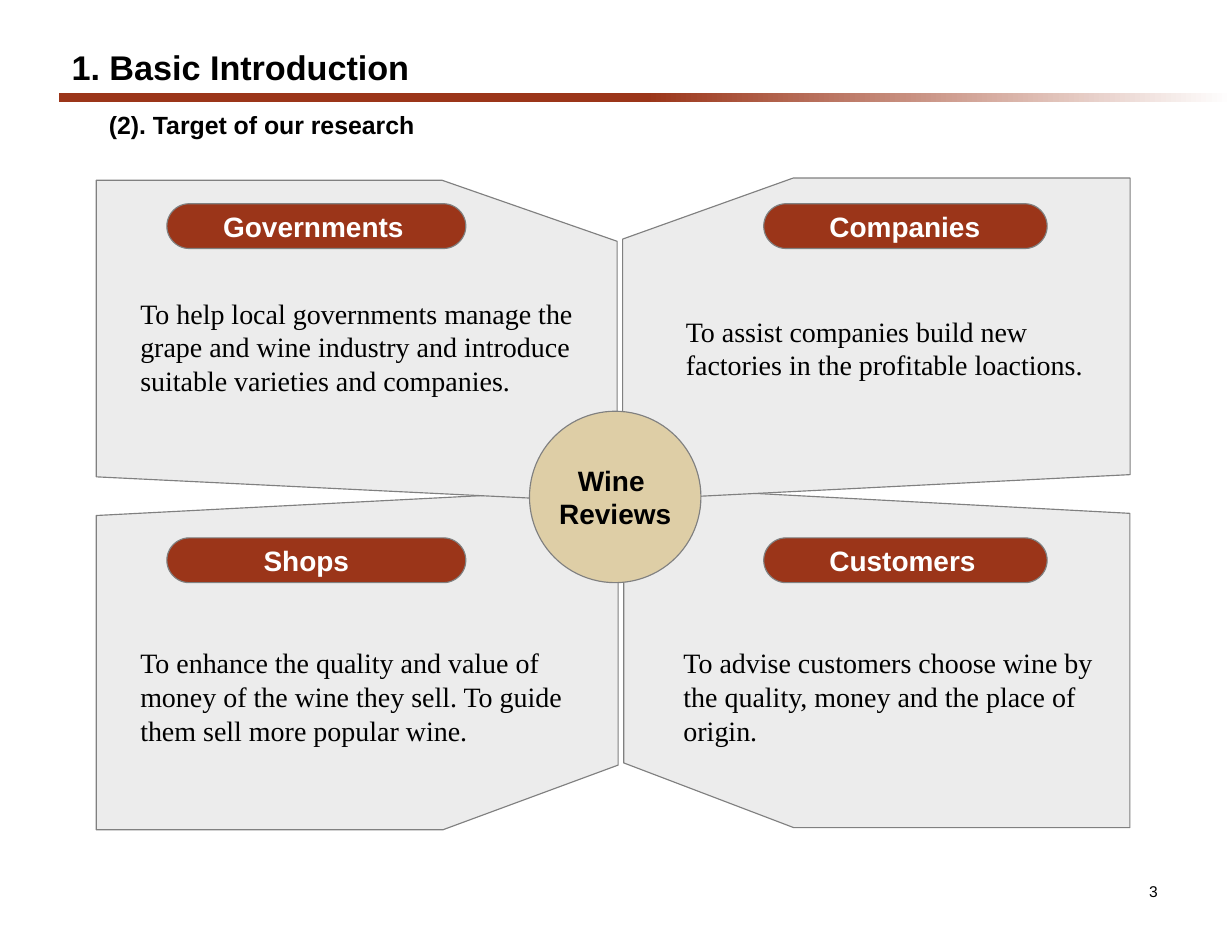
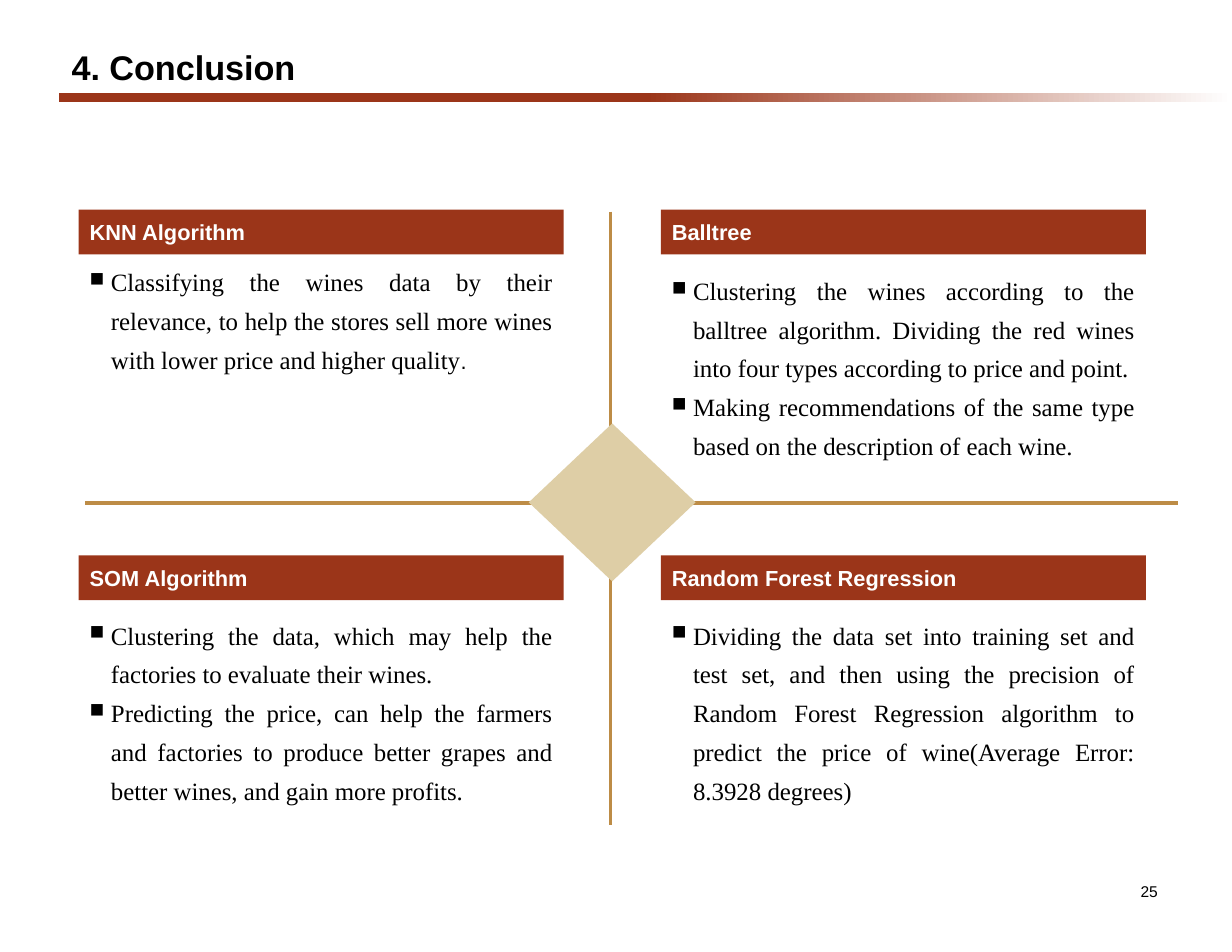
from lxml.etree import SubElement
from pptx import Presentation
from pptx.dml.color import RGBColor
from pptx.enum.shapes import MSO_CONNECTOR, MSO_SHAPE
from pptx.enum.text import MSO_ANCHOR, MSO_AUTO_SIZE, PP_ALIGN
from pptx.oxml.ns import qn
from pptx.util import Pt

# Shared look
RED, SAND, GOLD, PANEL_GREY = "9B3519", "DECEA6", "BD8C46", "ECECEC"
EDGE_GREY, BLACK, WHITE = "808080", "000000", "FFFFFF"
SANS, SERIF = "Arial", "Times New Roman"
TIGHT = (6, 1.5, 6, 1.5)
ROOMY = (8, 4, 8, 4)
NORMAL = (7.2, 3.6, 7.2, 3.6)


def colour(hex_text):
    return RGBColor.from_string(hex_text)


def points(box):
    return [Pt(length) for length in box]


# Basic parts
def paint(shape, fill, line=None):
    shape.shadow.inherit = False
    shape.fill.solid()
    shape.fill.fore_color.rgb = colour(fill)
    if line:
        shape.line.color.rgb = colour(line)
        shape.line.width = Pt(0.75)
    else:
        shape.line.fill.background()


def add_block(page, kind, box, fill, line=None):
    block = page.shapes.add_shape(kind, *points(box))
    paint(block, fill, line)
    return block


def set_frame(shape, insets, anchor=MSO_ANCHOR.TOP, wrap=True):
    frame = shape.text_frame
    frame.word_wrap = wrap
    frame.auto_size = MSO_AUTO_SIZE.NONE
    frame.vertical_anchor = anchor
    (frame.margin_left, frame.margin_top,
     frame.margin_right, frame.margin_bottom) = points(insets)
    return frame


def add_run(para, text, size, font=SANS, ink=BLACK, bold=False):
    span = para.add_run()
    span.text = text
    span.font.size = Pt(size)
    span.font.name = font
    span.font.bold = bold
    span.font.color.rgb = colour(ink)


def write_line(frame, text, size, align=PP_ALIGN.LEFT, **style):
    para = frame.paragraphs[0]
    para.alignment = align
    add_run(para, text, size, **style)


def add_text(page, box, text, size, insets=TIGHT, anchor=MSO_ANCHOR.TOP,
             align=PP_ALIGN.LEFT, **style):
    frame = set_frame(page.shapes.add_textbox(*points(box)), insets, anchor)
    write_line(frame, text, size, align, **style)


def add_rule(page, start, end):
    rule = page.shapes.add_connector(
        MSO_CONNECTOR.STRAIGHT, *points(start), *points(end))
    rule.line.color.rgb = colour(GOLD)
    rule.line.width = Pt(2.25)
    SubElement(rule._element.spPr, qn("a:effectLst"))


# Page frame: number, fading band, title
def add_page(deck, title, number):
    page = deck.slides.add_slide(deck.slide_layouts[5])
    add_text(page, (707.8, 563, 42.5, 20), number, 10,
             anchor=MSO_ANCHOR.MIDDLE, align=PP_ALIGN.RIGHT)

    band = add_block(page, MSO_SHAPE.RECTANGLE, (38, 59.8, 754, 5.8), RED)
    band.fill.gradient()
    band.fill.gradient_angle = 0
    solid_end, faded_end = band.fill.gradient_stops
    solid_end.color.rgb, solid_end.position = colour(RED), 0.5
    faded_end.color.rgb, faded_end.position = colour(WHITE), 1

    heading = page.shapes.title
    heading.left, heading.top, heading.width, heading.height = points(
        (38, 26, 304.6, 34))
    frame = set_frame(heading, ROOMY, MSO_ANCHOR.MIDDLE)
    write_line(frame, title, 22, bold=True)
    return page


# Target slide
def add_panel(page, box, on_left, on_top):
    """Outline a panel whose corners are cut towards the slide centre."""
    left, top, width, height = box
    # Fractions counted from the inner side and from the outer edge
    corners = [(0, 0.83), (0, 0.19), (0.336, 0), (1, 0), (1, 0.923), (0.028, 1)]
    outline = []
    for across, down in corners:
        across = 1 - across if on_left else across
        down = down if on_top else 1 - down
        outline.append((Pt(left + width * across), Pt(top + height * down)))
    builder = page.shapes.build_freeform(*outline[0])
    builder.add_line_segments(outline[1:], close=True)
    paint(builder.convert_to_shape(), PANEL_GREY, EDGE_GREY)


def add_pill(page, box, label, indent):
    pill = add_block(page, MSO_SHAPE.ROUNDED_RECTANGLE, box, RED, EDGE_GREY)
    pill.adjustments[0] = 0.5
    frame = set_frame(pill, (indent, 0, 0, 0), MSO_ANCHOR.MIDDLE)
    write_line(frame, label, 18, ink=WHITE, bold=True)


def add_hub(page, box):
    hub = add_block(page, MSO_SHAPE.OVAL, box, SAND, EDGE_GREY)
    frame = set_frame(hub, (0, 0, 0, 0), MSO_ANCHOR.MIDDLE, wrap=False)
    write_line(frame, "Wine ", 18, PP_ALIGN.CENTER, bold=True)
    para = frame.add_paragraph()
    para.alignment = PP_ALIGN.CENTER
    add_run(para, "Reviews", 18, bold=True)


def build_targets(deck):
    page = add_page(deck, "1. Basic Introduction", "3")
    add_text(page, (62, 66.2, 607, 29), "(2). Target of our research", 16,
             insets=ROOMY, bold=True)
    # Panel box, label, label indent, text position, text
    targets = [
        ((61.9, 314.6, 335.5, 218.9), "Shops", 58, (84.2, 413.7),
         "To enhance the quality and value of money of the wine they sell. "
         "To guide them sell more popular wine."),
        ((61.9, 115.9, 334.8, 206.6), "Governments", 32, (84.2, 189),
         "To help local governments manage the grape and wine industry and "
         "introduce suitable varieties and companies."),
        ((401, 313.2, 325.4, 218.9), "Customers", 38, (433.4, 413.7),
         "To advise customers choose wine by the quality, money and the "
         "place of origin."),
        ((400.3, 114.5, 326.2, 206.6), "Companies", 38, (434.9, 200.6),
         "To assist companies build new factories in the profitable "
         "loactions."),
    ]
    for box, label, indent, spot, text in targets:
        on_left, on_top = box[0] < 396, box[1] < 306
        add_panel(page, box, on_left, on_top)
        pill_left, pill_width = (107.3, 192.2) if on_left else (491, 182.2)
        pill_top = 131 if on_top else 345.8
        add_pill(page, (pill_left, pill_top, pill_width, 28.8), label, indent)
        add_text(page, (*spot, 293.4, 110), text, 18, font=SERIF)
    add_hub(page, (340.4, 264.4, 110.2, 110.2))


# Conclusion slide
def set_bullet(para):
    para.alignment = PP_ALIGN.JUSTIFY
    para.line_spacing = 1.3
    props = para._p.get_or_add_pPr()
    props.set("marL", str(Pt(13.7)))
    props.set("indent", str(-Pt(13.7)))
    SubElement(props, qn("a:buSzPct"), val="80000")
    SubElement(props, qn("a:buChar"), char="■")


def add_finding(page, left, top, heading, drop, items, ending=""):
    body = page.shapes.add_textbox(*points((left, top + drop, 311.8, 74.2)))
    frame = set_frame(body, NORMAL)
    for index, item in enumerate(items):
        para = frame.add_paragraph() if index else frame.paragraphs[0]
        set_bullet(para)
        add_run(para, item, 16, font=SERIF)
    if ending:
        add_run(para, ending, 14)

    bar = add_block(page, MSO_SHAPE.RECTANGLE, (left, top, 311.8, 28.8), RED)
    frame = set_frame(bar, (7.2, 0.7, 7.2, 0.7), MSO_ANCHOR.MIDDLE)
    write_line(frame, heading, 14, ink=WHITE, bold=True)


def build_conclusion(deck):
    page = add_page(deck, "4. Conclusion", "25")
    add_rule(page, (54.7, 323.3), (757.4, 323.3))
    add_rule(page, (392.6, 136.1), (392.6, 530.6))
    add_block(page, MSO_SHAPE.DIAMOND, (339.9, 272.2, 107.3, 101.5), SAND)

    left, right, top, bottom = 50.6, 424.8, 134.8, 357.1
    add_finding(page, left, top, "KNN Algorithm", 27.4, [
        "Classifying the wines data by their relevance, to help the stores "
        "sell more wines with lower price and higher quality"], ending=".")
    add_finding(page, right, top, "Balltree", 33, [
        "Clustering the wines according to the balltree algorithm. Dividing "
        "the red wines into four types according to price and point.",
        "Making recommendations of the same type based on the description "
        "of each wine."])
    add_finding(page, left, bottom, "SOM Algorithm", 32.4, [
        "Clustering the data, which may help the factories to evaluate "
        "their wines.",
        "Predicting the price, can help the farmers and factories to produce "
        "better grapes and better wines, and gain more profits."])
    add_finding(page, right, bottom, "Random Forest Regression", 32.4, [
        "Dividing the data set into training set and test set, and then "
        "using the precision of Random Forest Regression algorithm to "
        "predict the price of wine(Average Error: 8.3928 degrees)"])


def main():
    deck = Presentation()
    deck.slide_width, deck.slide_height = Pt(792), Pt(612)
    build_targets(deck)
    build_conclusion(deck)
    deck.save("out.pptx")


if __name__ == "__main__":
    main()
